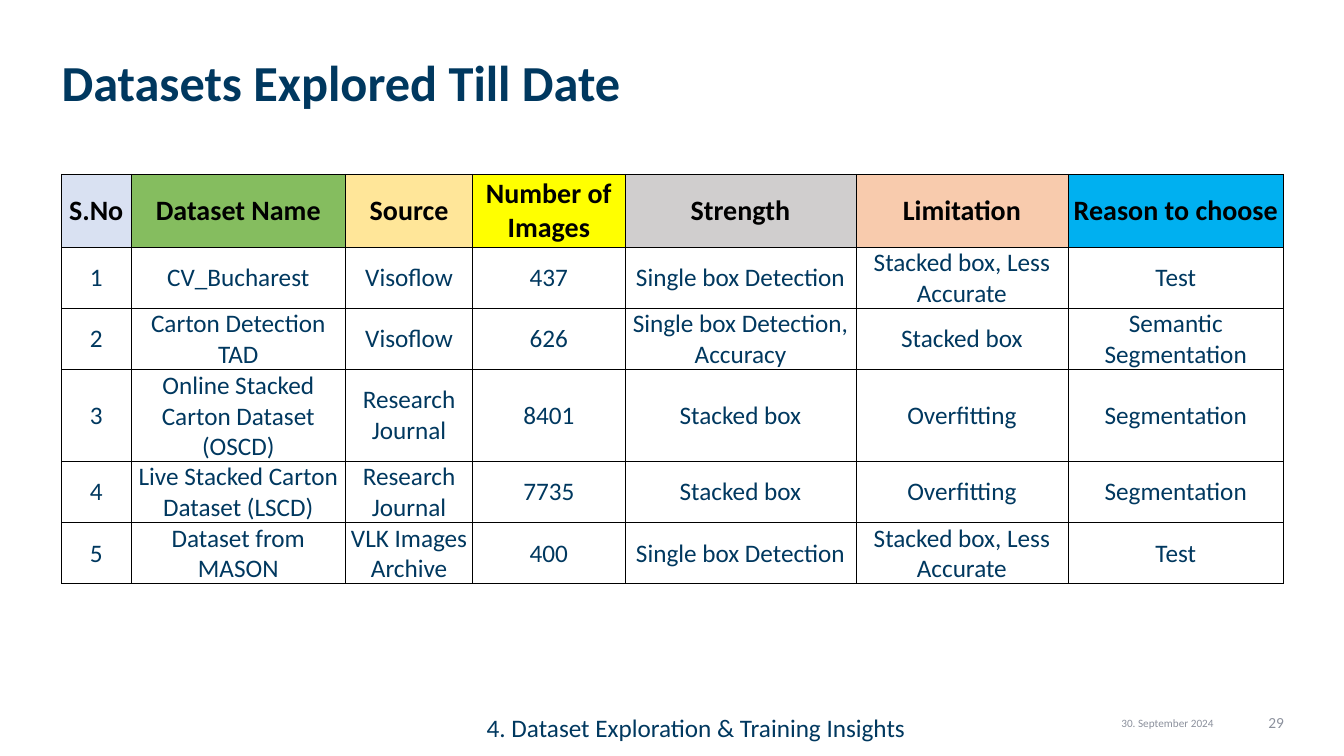
"""Build the slide that tabulates the datasets explored so far."""
from dataclasses import dataclass

import pptx
import pptx.dml.color
import pptx.enum.text
import pptx.oxml
import pptx.oxml.ns
import pptx.shapes.base
import pptx.slide
import pptx.table
import pptx.text.text
import pptx.util

Cm = pptx.util.Cm
Align = pptx.enum.text.PP_ALIGN
Anchor = pptx.enum.text.MSO_ANCHOR
AutoSize = pptx.enum.text.MSO_AUTO_SIZE


@dataclass(frozen=True)
class Theme:
    font: str = "Calibri"
    navy: str = "00385F"
    grey: str = "8C919D"
    black: str = "000000"
    white: str = "FFFFFF"
    title_size: int = 36
    header_size: int = 20
    body_size: int = 18
    number_size: int = 11
    date_size: int = 8
    border_width: float = 0.5


@dataclass(frozen=True)
class Label:
    text: str
    left: float
    top: float
    width: float
    height: float
    size: int
    color: str
    align: Align
    margins: tuple[float, float, float, float] = (0, 0, 0, 0)
    bold: bool = False
    spacing: float = 1.0
    auto_size: AutoSize = AutoSize.NONE


@dataclass(frozen=True)
class Column:
    heading: str
    width: float
    fill: str


THEME = Theme()

TITLE = Label("Datasets Explored Till Date", 1.55, 1.45, 15.11, 1.35, THEME.title_size,
              THEME.navy, Align.LEFT, bold=True, spacing=0.9)
FOOTERS = [
    Label("30. September 2024", 27.33, 17.93, 4.19, 0.41, THEME.date_size,
          THEME.grey, Align.CENTER, (0, 0.13, 0, 0)),
    Label("29", 31.55, 17.93, 0.81, 0.41, THEME.number_size,
          THEME.grey, Align.RIGHT, (0, 0.03, 0, 0)),
    Label("4. Dataset Exploration & Training Insights", 9.07, 17.81, 16.94, 1.02,
          THEME.body_size, THEME.navy, Align.CENTER, (0.25, 0.13, 0.25, 0.13),
          auto_size=AutoSize.SHAPE_TO_FIT_TEXT),
]
COLUMNS = [
    Column("S.No", 1.75, "D9E1F2"),
    Column("Dataset Name", 5.41, "85BD5F"),
    Column("Source", 3.2, "FFE699"),
    Column("Number of Images", 3.84, "FFFF00"),
    Column("Strength", 5.82, "D0CECE"),
    Column("Limitation", 5.34, "F8CBAD"),
    Column("Reason to choose", 5.44, "00B0F0"),
]
DATASETS = [
    ("CV_Bucharest", "Visoflow", "437", "Single box Detection",
     "Stacked box, Less Accurate", "Test"),
    ("Carton Detection TAD", "Visoflow", "626", "Single box Detection, Accuracy",
     "Stacked box", "Semantic Segmentation"),
    ("Online Stacked Carton Dataset (OSCD)", "Research Journal", "8401", "Stacked box",
     "Overfitting", "Segmentation"),
    ("Live Stacked Carton Dataset (LSCD)", "Research Journal", "7735", "Stacked box",
     "Overfitting", "Segmentation"),
    ("Dataset from MASON", "VLK Images Archive", "400", "Single box Detection",
     "Stacked box, Less Accurate", "Test"),
]
ROW_HEIGHTS = [1.83, 1.37, 1.3, 1.37, 1.37, 1.37]
TABLE_LEFT, TABLE_TOP, TABLE_HEIGHT = 1.55, 4.39, 11.05
CELL_MARGINS = (0.02, 0.02, 0.02, 0)
SIDES = ("left", "top", "right", "bottom")


def set_attributes(target: object, values: dict[str, object]) -> None:
    for name, value in values.items():
        setattr(target, name, value)


def margin_values(margins: tuple[float, float, float, float]) -> dict[str, object]:
    return {f"margin_{side}": Cm(margin) for side, margin in zip(SIDES, margins)}


def write_text(para: pptx.text.text._Paragraph, text: str, size: int, color: str,
               align: Align, bold: bool) -> None:
    para.alignment = align
    span = para.add_run()
    span.text = text
    set_attributes(span.font, {"name": THEME.font, "size": pptx.util.Pt(size), "bold": bold})
    span.font.color.rgb = pptx.dml.color.RGBColor.from_string(color)


def format_label(box: pptx.shapes.base.BaseShape, label: Label) -> None:
    set_attributes(box, {name: Cm(getattr(label, name))
                         for name in ("left", "top", "width", "height")})
    frame = box.text_frame
    set_attributes(frame, {"word_wrap": True, "auto_size": label.auto_size,
                           "vertical_anchor": Anchor.TOP, **margin_values(label.margins)})
    para = frame.paragraphs[0]
    para.line_spacing = label.spacing
    write_text(para, label.text, label.size, label.color, label.align, label.bold)


def add_borders(cell: pptx.table._Cell) -> None:
    properties = cell._tc.get_or_add_tcPr()
    namespace = pptx.oxml.ns.nsdecls("a")
    width = int(pptx.util.Pt(THEME.border_width))
    for side in "LRTB":
        properties.append(pptx.oxml.parse_xml(
            f'<a:ln{side} {namespace} w="{width}"><a:solidFill>'
            f'<a:srgbClr val="{THEME.black}"/></a:solidFill></a:ln{side}>'))


def format_cell(cell: pptx.table._Cell, text: str, fill: str, size: int, color: str,
                bold: bool) -> None:
    add_borders(cell)
    cell.fill.solid()
    cell.fill.fore_color.rgb = pptx.dml.color.RGBColor.from_string(fill)
    set_attributes(cell, {"vertical_anchor": Anchor.MIDDLE, **margin_values(CELL_MARGINS)})
    write_text(cell.text_frame.paragraphs[0], text, size, color, Align.CENTER, bold)


def add_dataset_table(page: pptx.slide.Slide) -> None:
    table_width = sum(column.width for column in COLUMNS)
    holder = page.shapes.add_table(len(ROW_HEIGHTS), len(COLUMNS), Cm(TABLE_LEFT),
                                   Cm(TABLE_TOP), Cm(table_width), Cm(TABLE_HEIGHT))
    table = holder.table
    set_attributes(table, {"first_row": False, "horz_banding": False})
    for row, height in zip(table.rows, ROW_HEIGHTS):
        row.height = Cm(height)
    for index, column in enumerate(COLUMNS):
        table.columns[index].width = Cm(column.width)
        format_cell(table.cell(0, index), column.heading, column.fill,
                    THEME.header_size, THEME.black, True)
    for number, dataset in enumerate(DATASETS, start=1):
        for index, text in enumerate((str(number), *dataset)):
            format_cell(table.cell(number, index), text, THEME.white,
                        THEME.body_size, THEME.navy, False)
    holder.height = Cm(TABLE_HEIGHT)


def main() -> None:
    deck = pptx.Presentation()
    set_attributes(deck, {"slide_width": Cm(33.87), "slide_height": Cm(19.05)})
    page = deck.slides.add_slide(deck.slide_layouts.get_by_name("Title Only"))
    for label in FOOTERS:
        format_label(page.shapes.add_textbox(0, 0, 0, 0), label)
    format_label(page.shapes.title, TITLE)
    add_dataset_table(page)
    deck.save("out.pptx")


if __name__ == "__main__":
    main()
